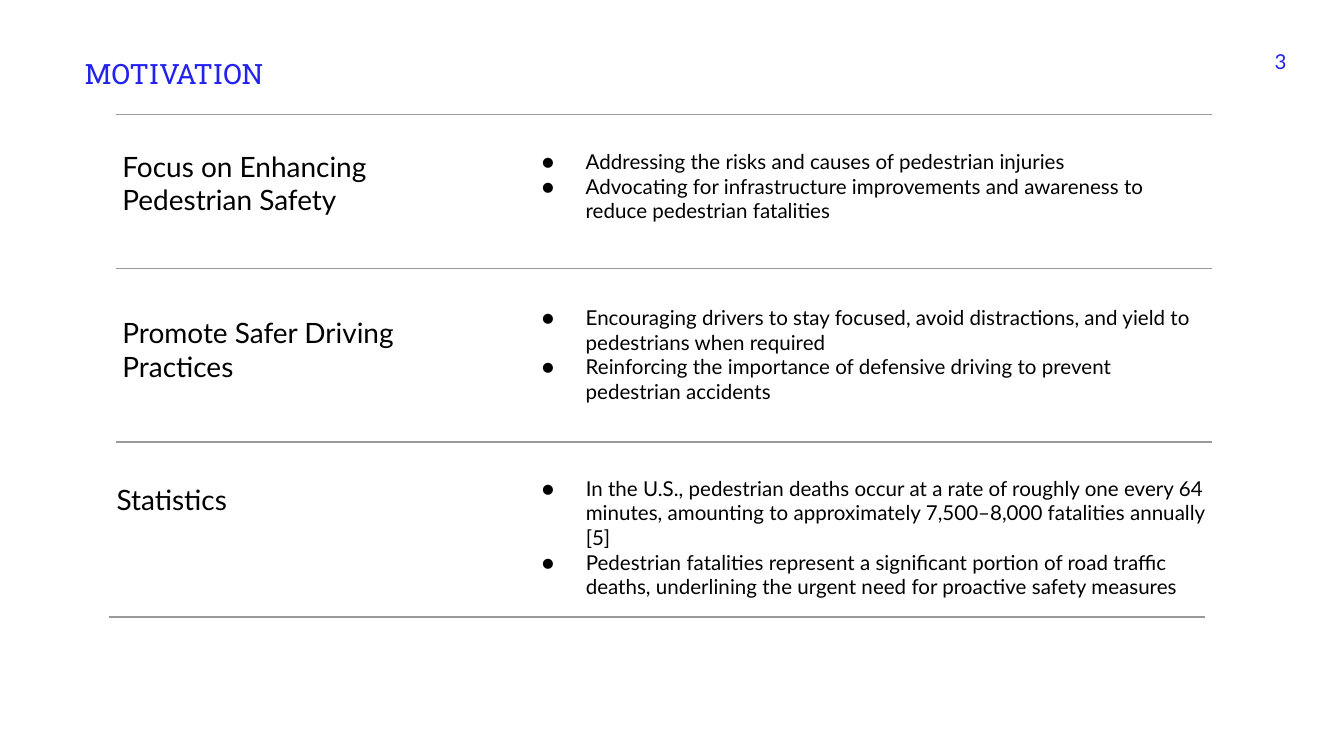
from dataclasses import dataclass

from lxml import etree
from pptx import Presentation
from pptx import util as u
from pptx.dml import color
from pptx.enum import shapes, text
from pptx.oxml import ns

BLACK, BLUE, GREY = "000000", "2322EF", "999999"
INSET = 7.2


@dataclass(frozen=True)
class Box:
    left: float
    top: float
    width: float
    height: float


@dataclass(frozen=True)
class TextStyle:
    size: float
    colour: str = BLACK
    font: str = "Lato"
    bulleted: bool = False
    align: text.PP_ALIGN = text.PP_ALIGN.LEFT


@dataclass(frozen=True)
class Topic:
    heading: str
    heading_box: Box
    points: tuple[str, ...]
    points_box: Box


@dataclass(frozen=True)
class Rule:
    left: float
    right: float
    top: float


HEADING = TextStyle(15)
POINTS = TextStyle(11, bulleted=True)
TITLE = TextStyle(15, BLUE, "Roboto Slab")
PAGE_NUMBER = TextStyle(11, BLUE, align=text.PP_ALIGN.RIGHT)

TOPICS = (
    Topic(
        "Focus on Enhancing Pedestrian Safety",
        Box(58.5, 72.7, 160.6, 30),
        (
            "Addressing the risks and causes of pedestrian injuries",
            "Advocating for infrastructure improvements and awareness to reduce pedestrian fatalities",
        ),
        Box(270.7, 72.7, 378.7, 54),
    ),
    Topic(
        "Promote Safer Driving Practices",
        Box(58.5, 162, 160.6, 30),
        (
            "Encouraging drivers to stay focused, avoid distractions, and yield to pedestrians when required",
            "Reinforcing the importance of defensive driving to prevent pedestrian accidents",
        ),
        Box(270.7, 156.2, 378.7, 62),
    ),
    Topic(
        "Statistics",
        Box(55.4, 251.3, 160.6, 30),
        (
            "In the U.S., pedestrian deaths occur at a rate of roughly one every 64 minutes, "
            "amounting to approximately 7,500–8,000 fatalities annually [5]",
            "Pedestrian fatalities represent a significant portion of road traffic deaths, "
            "underlining the urgent need for proactive safety measures",
        ),
        Box(270.7, 247.7, 390.2, 67),
    ),
)

RULES = (
    Rule(62.4, 649.4, 61.2),
    Rule(62.4, 649.4, 144),
    Rule(62.4, 649.4, 236.9),
    Rule(58.5, 645.5, 330.5),
)


def rgb(value: str) -> color.RGBColor:
    return color.RGBColor.from_string(value)


def set_values(target, values: dict) -> None:
    for name, value in values.items():
        setattr(target, name, value)


def add_bullet(paragraph, colour: str) -> None:
    properties = paragraph._p.get_or_add_pPr()
    properties.set("marL", str(u.Pt(36)))
    properties.set("indent", str(-u.Pt(23.5)))
    bullet_colour = etree.SubElement(properties, ns.qn("a:buClr"))
    etree.SubElement(bullet_colour, ns.qn("a:srgbClr")).set("val", colour)
    etree.SubElement(properties, ns.qn("a:buFont")).set("typeface", "Lato")
    etree.SubElement(properties, ns.qn("a:buChar")).set("char", "●")


def add_text(slide, box: Box, lines: tuple[str, ...], style: TextStyle) -> None:
    shape = slide.shapes.add_textbox(
        u.Pt(box.left), u.Pt(box.top), u.Pt(box.width), u.Pt(box.height)
    )
    frame = shape.text_frame
    margins = {f"margin_{side}": u.Pt(INSET) for side in ("left", "top", "right", "bottom")}
    set_values(
        frame,
        {"word_wrap": True, "vertical_anchor": text.MSO_ANCHOR.TOP, **margins},
    )
    frame.text = "\n".join(lines)
    for paragraph in frame.paragraphs:
        paragraph.alignment = style.align
        if style.bulleted:
            add_bullet(paragraph, style.colour)
        for run in paragraph.runs:
            set_values(run.font, {"name": style.font, "size": u.Pt(style.size)})
            run.font.color.rgb = rgb(style.colour)


def add_rule(slide, rule: Rule) -> None:
    connector = slide.shapes.add_connector(
        shapes.MSO_CONNECTOR.STRAIGHT,
        u.Pt(rule.left), u.Pt(rule.top), u.Pt(rule.right), u.Pt(rule.top),
    )
    connector.line.width = u.Pt(0.75)
    connector.line.color.rgb = rgb(GREY)
    etree.SubElement(connector._element.spPr, ns.qn("a:effectLst"))


def main() -> None:
    """Build the motivation slide and save it."""
    presentation = Presentation()
    set_values(presentation, {"slide_width": u.Pt(720), "slide_height": u.Pt(405)})
    slide = presentation.slides.add_slide(presentation.slide_layouts[6])
    for topic in TOPICS:
        add_text(slide, topic.heading_box, (topic.heading,), HEADING)
        add_text(slide, topic.points_box, topic.points, POINTS)
    for rule in RULES:
        add_rule(slide, rule)
    add_text(slide, Box(38.2, 23, 283, 26.6), ("MOTIVATION",), TITLE)
    add_text(slide, Box(668.9, 19.4, 27.4, 13.7), ("3",), PAGE_NUMBER)
    presentation.save("out.pptx")


if __name__ == "__main__":
    main()
